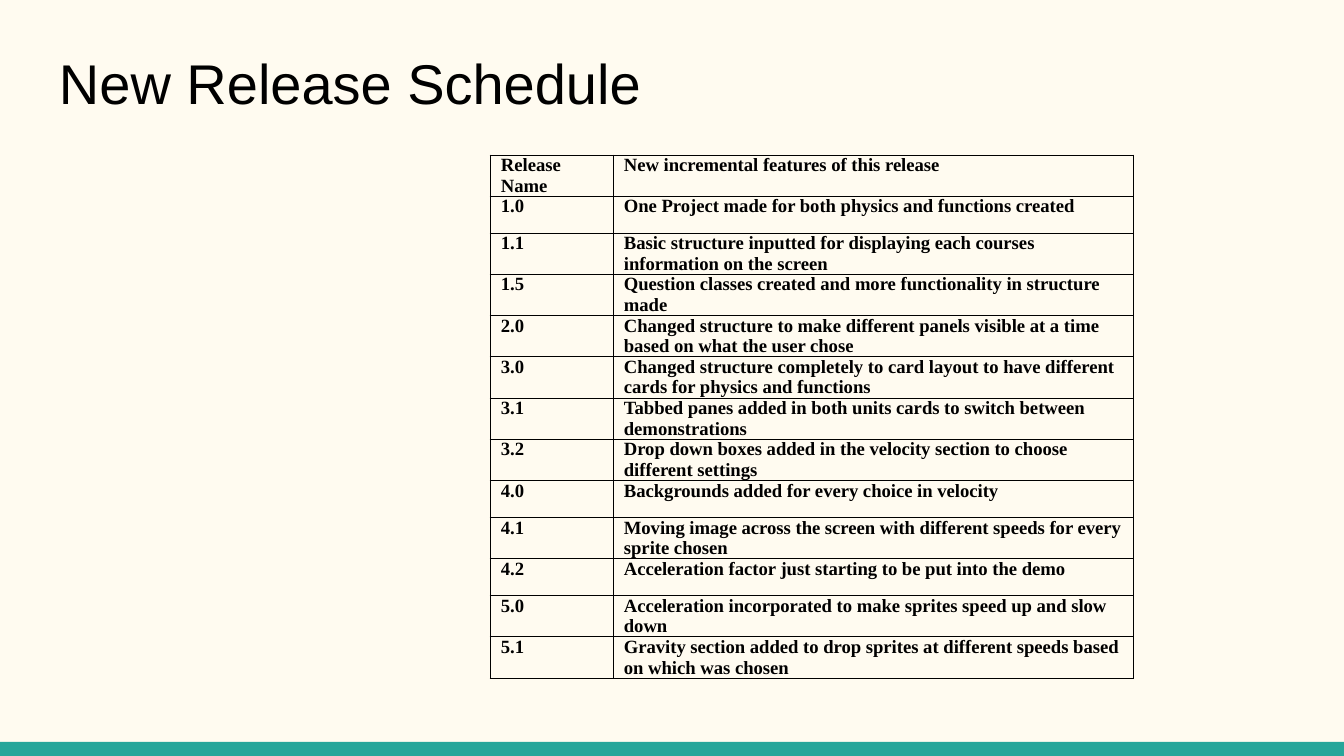
from lxml.etree import SubElement
from pptx import Presentation
from pptx.dml.color import RGBColor
from pptx.enum.shapes import MSO_SHAPE
from pptx.enum.text import MSO_ANCHOR, MSO_AUTO_SIZE, PP_ALIGN
from pptx.oxml.ns import qn
from pptx.util import Pt

PX = 914400 / 134.4
CREAM = RGBColor(0xFF, 0xFB, 0xF0)
TEAL = RGBColor(0x26, 0xA6, 0x9A)
BLACK = RGBColor(0, 0, 0)

RELEASES = [
    ("Release Name", "New incremental features of this release"),
    ("1.0", "One Project made for both physics and functions created"),
    ("1.1", "Basic structure inputted for displaying each courses information on the screen"),
    ("1.5", "Question classes created and more functionality in structure made"),
    ("2.0", "Changed structure to make different panels visible at a time based on what the user chose"),
    ("3.0", "Changed structure completely to card layout to have different cards for physics and functions"),
    ("3.1", "Tabbed panes added in both units cards to switch between demonstrations"),
    ("3.2", "Drop down boxes added in the velocity section to choose different settings"),
    ("4.0", "Backgrounds added for every choice in velocity"),
    ("4.1", "Moving image across the screen with different speeds for every sprite chosen"),
    ("4.2", "Acceleration factor just starting to be put into the demo"),
    ("5.0", "Acceleration incorporated to make sprites speed up and slow down"),
    ("5.1", "Gravity section added to drop sprites at different speeds based on which was chosen"),
]
COL_WIDTHS = [123, 520]
ROW_HEIGHT = 37


def px(*lengths):
    return [round(n * PX) for n in lengths]


def write(tf, text, font="Arial", size=10, bold=False, inset=(0, 0)):
    tf.word_wrap = True
    p = tf.paragraphs[0]
    p.alignment = PP_ALIGN.LEFT
    r = p.add_run()
    r.text = text
    r.font.name = font
    r.font.size = Pt(size)
    r.font.bold = bold
    r.font.color.rgb = BLACK
    return px(*inset)


prs = Presentation()
prs.slide_width, prs.slide_height = px(1344, 756)
s = prs.slides.add_slide(prs.slide_layouts[5])
s.background.fill.solid()
s.background.fill.fore_color.rgb = CREAM

bar = s.shapes.add_shape(MSO_SHAPE.RECTANGLE, *px(0, 742, 1344, 14))
bar.shadow.inherit = False
bar.fill.solid()
bar.fill.fore_color.rgb = TEAL
bar.line.fill.background()

title = s.shapes.title
title.left, title.top, title.width, title.height = px(46, 36, 1252, 90)
tf = title.text_frame
tf.auto_size = MSO_AUTO_SIZE.NONE
tf.vertical_anchor = MSO_ANCHOR.TOP
tf.margin_left, tf.margin_top = write(tf, "New Release Schedule", size=30, inset=(13, 13))
tf.margin_right, tf.margin_bottom = px(13, 13)

frame = s.shapes.add_table(
    len(RELEASES), len(COL_WIDTHS),
    *px(490, 155, sum(COL_WIDTHS), ROW_HEIGHT * len(RELEASES)),
)
table = frame.table
table.first_row = False
table.horz_banding = False
for column, width in zip(table.columns, px(*COL_WIDTHS)):
    column.width = width

for row, texts in zip(table.rows, RELEASES):
    row.height = px(ROW_HEIGHT)[0]
    for cell, text in zip(row.cells, texts):
        cell.margin_left, cell.margin_top = write(
            cell.text_frame, text, font="Times New Roman", bold=True, inset=(11, 0)
        )
        cell.margin_right, cell.margin_bottom = px(11, 0)
        cell.vertical_anchor = MSO_ANCHOR.TOP
        tcPr = cell._tc.get_or_add_tcPr()
        for side in ("lnL", "lnR", "lnT", "lnB"):
            ln = SubElement(tcPr, qn(f"a:{side}"), w=str(Pt(0.5)))
            fill = SubElement(ln, qn("a:solidFill"))
            SubElement(fill, qn("a:srgbClr"), val=str(BLACK))
        cell.fill.background()

prs.save("out.pptx")
